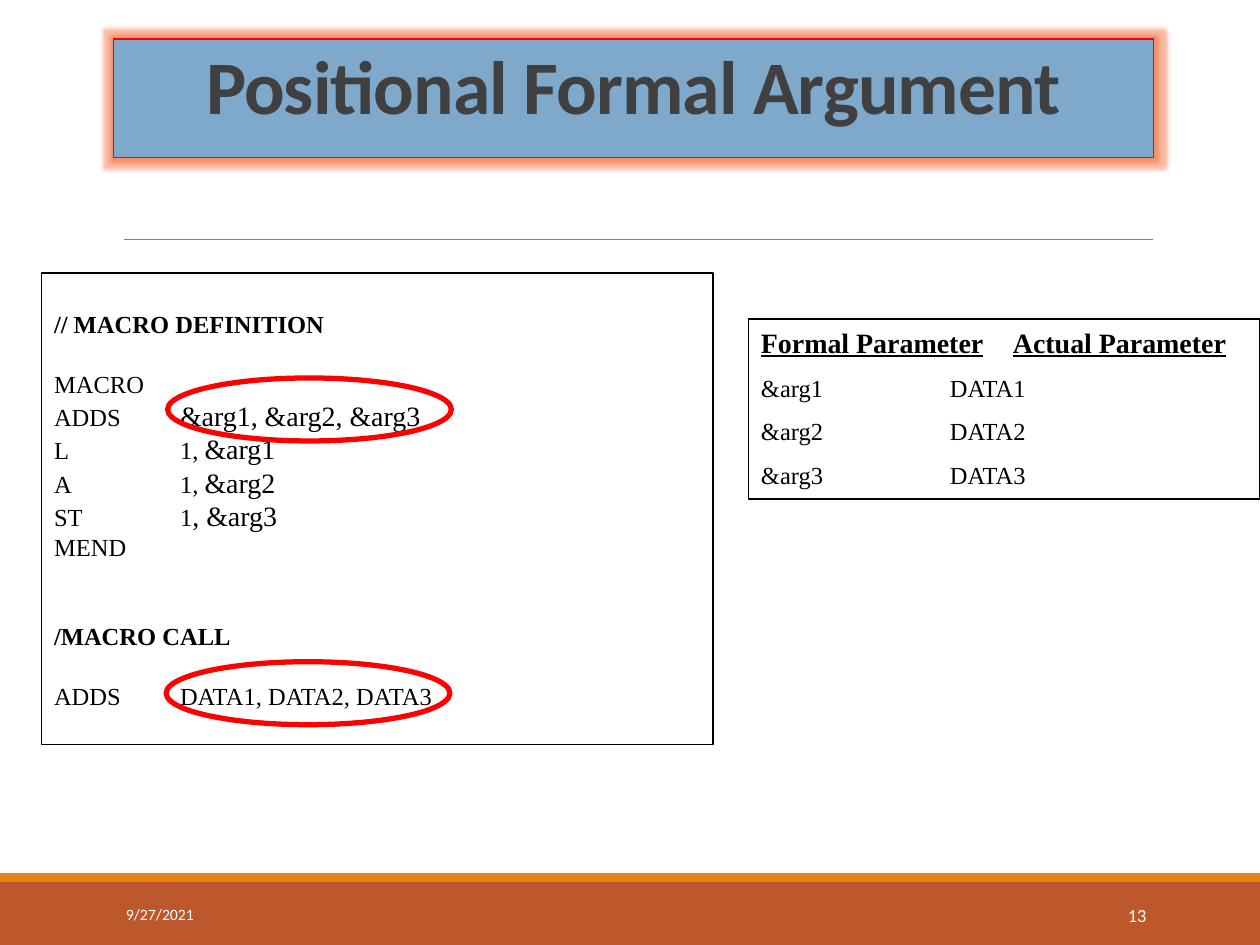
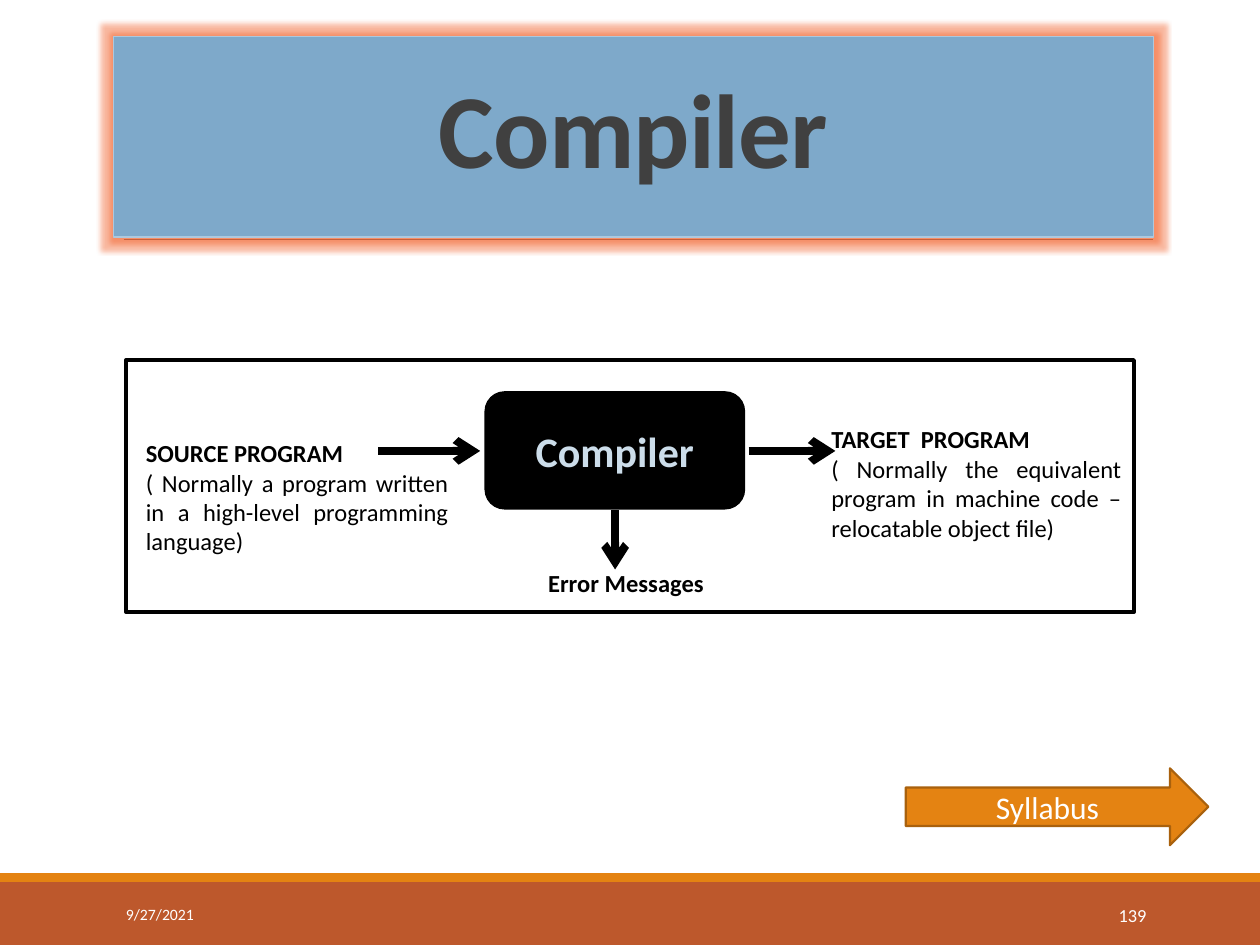
import pptx
import pptx.util
import pptx.dml.color
import pptx.enum.shapes
import pptx.enum.text
import pptx.oxml
import pptx.oxml.ns

Cm = pptx.util.Cm
Pt = pptx.util.Pt
RGBColor = pptx.dml.color.RGBColor
ShapeType = pptx.enum.shapes.MSO_SHAPE
Align = pptx.enum.text.PP_ALIGN
Anchor = pptx.enum.text.MSO_ANCHOR

WHITE = RGBColor(0xFF, 0xFF, 0xFF)
BLACK = RGBColor(0x00, 0x00, 0x00)
RED = RGBColor(0xFF, 0x00, 0x00)
GRAY = RGBColor(0x80, 0x80, 0x80)
DARK_GRAY = RGBColor(0x40, 0x40, 0x40)
RUST = RGBColor(0xBD, 0x58, 0x2C)
ORANGE = RGBColor(0xE4, 0x83, 0x12)
DARK_ORANGE = RGBColor(0xA9, 0x61, 0x0D)
BLUE = RGBColor(0x7E, 0xA9, 0xCA)
LIGHT_BLUE = RGBColor(0xAD, 0xC8, 0xDD)
PALE_BLUE = RGBColor(0xCC, 0xDD, 0xEA)
GLOW = RGBColor(0xF0, 0x50, 0x14)

SANS = "Calibri"
SERIF = "Times New Roman"
SLIDE_WIDTH = 25.4
SLIDE_HEIGHT = 19.05
DATE = "9/27/2021"


def drawing_element(tag, **attributes):
    element = pptx.oxml.parse_xml(f"<a:{tag} {pptx.oxml.ns.nsdecls('a')}/>")
    for name, value in attributes.items():
        element.set(name, str(value))
    return element


class Deck:
    def __init__(self):
        self.presentation = pptx.Presentation()
        self.presentation.slide_width = Cm(SLIDE_WIDTH)
        self.presentation.slide_height = Cm(SLIDE_HEIGHT)
        self.slide = None

    def start_slide(self, number):
        self.slide = self.presentation.slides.add_slide(self.presentation.slide_layouts[6])
        self.shape(0, 17.78, SLIDE_WIDTH, 1.27, fill=RUST)
        self.shape(0, 17.6, SLIDE_WIDTH, 0.18, fill=ORANGE)
        self.line(2.49, 4.83, 23.24, 4.83, GRAY, 0.5)
        date = self.text_box(2.29, 17.93, 5.16, 1.02, Anchor.MIDDLE)
        self.paragraph(date, [(DATE, {})], size=9, color=WHITE)
        page = self.text_box(20.62, 17.93, 2.74, 1.02, Anchor.MIDDLE)
        self.paragraph(page, [(str(number), {})], size=10.5, color=WHITE, align=Align.RIGHT)

    def shape(self, left, top, width, height, kind=ShapeType.RECTANGLE,
              fill=None, border=None, weight=0.75, anchor=Anchor.MIDDLE):
        shape = self.slide.shapes.add_shape(kind, Cm(left), Cm(top), Cm(width), Cm(height))
        shape.shadow.inherit = False
        if fill is None:
            shape.fill.background()
        else:
            shape.fill.solid()
            shape.fill.fore_color.rgb = fill
        if border is None:
            shape.line.fill.background()
        else:
            shape.line.color.rgb = border
            shape.line.width = Pt(weight)
        shape.text_frame.word_wrap = True
        shape.text_frame.vertical_anchor = anchor
        return shape

    def text_box(self, left, top, width, height, anchor=Anchor.TOP, wrap=True):
        shape = self.slide.shapes.add_textbox(Cm(left), Cm(top), Cm(width), Cm(height))
        shape.text_frame.word_wrap = wrap
        shape.text_frame.vertical_anchor = anchor
        return shape

    def paragraph(self, shape, runs, size=14, font=SANS, color=BLACK, bold=False,
                  align=Align.LEFT, before=0):
        frame = shape.text_frame
        paragraph = frame.paragraphs[0] if not frame.text else frame.add_paragraph()
        paragraph.alignment = align
        if before:
            paragraph.space_before = Pt(before)
        for text, changes in runs:
            run = paragraph.add_run()
            run.text = text
            run.font.name = font
            run.font.size = Pt(changes.get("size", size))
            run.font.bold = bold
            run.font.underline = changes.get("underline", False)
            run.font.color.rgb = color
        return paragraph

    def title(self, text, top, height, size, border, bottom_inset=0.13):
        shape = self.shape(2.29, top, 20.96, height, fill=BLUE, border=border)
        shape.text_frame.margin_bottom = Cm(bottom_inset)
        paragraph = self.paragraph(shape, [(text, {})], size=size, color=DARK_GRAY,
                                   bold=True, align=Align.CENTER)
        paragraph.line_spacing = 0.85
        paragraph.runs[0]._r.get_or_add_rPr().set("spc", "-50")
        glow = drawing_element("glow", rad=Pt(5))
        glow_color = drawing_element("srgbClr", val=GLOW)
        glow_color.append(drawing_element("alpha", val=40000))
        glow.append(glow_color)
        shape._element.spPr.find(pptx.oxml.ns.qn("a:effectLst")).append(glow)

    def line(self, start_x, start_y, end_x, end_y, color, weight, arrow=False):
        connector = self.slide.shapes.add_connector(
            pptx.enum.shapes.MSO_CONNECTOR.STRAIGHT,
            Cm(start_x), Cm(start_y), Cm(end_x), Cm(end_y))
        connector.line.color.rgb = color
        connector.line.width = Pt(weight)
        if arrow:
            connector.line._get_or_add_ln().append(drawing_element("tailEnd", type="arrow"))
        connector._element.spPr.append(drawing_element("effectLst"))

    def description(self, left, top, width, heading, detail):
        shape = self.text_box(left, top, width, 2.64)
        self.paragraph(shape, [(heading, {})], bold=True, align=Align.JUSTIFY)
        self.paragraph(shape, [(detail, {})], align=Align.JUSTIFY)


def build_argument_slide(deck):
    deck.start_slide(13)
    deck.title("Positional Formal Argument", 0.79, 2.39, 43.2, RED, bottom_inset=0.4)

    code = deck.shape(0.84, 5.51, 13.54, 9.5, border=BLACK, weight=1, anchor=Anchor.TOP)
    code.text_frame.margin_top = Cm(0.73)
    large = {"size": 16}
    code_lines = [
        ([("// MACRO DEFINITION", {})], True, 0),
        ([("MACRO", {})], False, 17),
        ([("ADDS\t", {}), ("&arg1, &arg2, &arg3", large)], False, 0),
        ([("L\t\t1, ", {}), ("&arg1", large)], False, 0),
        ([("A\t\t1, ", {}), ("&arg2", large)], False, 0),
        ([("ST \t\t1", {}), (", &arg3", large)], False, 0),
        ([("MEND", {})], False, 0),
        ([("/MACRO CALL", {})], True, 34),
        ([("ADDS\tDATA1, DATA2, DATA3", {})], False, 17),
    ]
    for runs, bold, before in code_lines:
        deck.paragraph(code, runs, font=SERIF, bold=bold, before=before)

    parameters = deck.shape(15.09, 6.43, 10.31, 3.63, border=BLACK, weight=1, anchor=Anchor.TOP)
    underlined = {"underline": True}
    deck.paragraph(parameters, [("Formal Parameter", underlined), ("\t", {}),
                                ("Actual Parameter", underlined)],
                   size=16, font=SERIF, bold=True)
    for index in range(1, 4):
        deck.paragraph(parameters, [(f"&arg{index}\t\t\tDATA{index}", {})], font=SERIF, before=8)

    for left, top in ((3.38, 7.62), (3.35, 13.34)):
        deck.shape(left, top, 5.72, 1.27, ShapeType.OVAL, border=RED, weight=3)


def build_compiler_slide(deck):
    deck.start_slide(139)
    deck.title("Compiler", 0.74, 4.04, 60, LIGHT_BLUE)

    compiler = deck.shape(9.78, 7.9, 5.23, 2.36, ShapeType.ROUNDED_RECTANGLE,
                          fill=BLACK, border=BLACK)
    deck.paragraph(compiler, [("Compiler", {})], size=24, color=PALE_BLUE, bold=True,
                   align=Align.CENTER)
    for ends in ((7.62, 9.09, 9.68, 9.09), (15.09, 9.09, 16.84, 9.09), (12.4, 10.29, 12.4, 11.48)):
        deck.line(*ends, BLACK, 4.5, arrow=True)

    deck.description(2.69, 8.71, 6.6, "SOURCE PROGRAM",
                     "( Normally a program written in a high-level programming language)")
    deck.description(16.51, 8.43, 6.35, "TARGET  PROGRAM",
                     "( Normally the equivalent program in machine code – relocatable object file)")
    errors = deck.text_box(10.8, 11.33, 3.66, 0.86, wrap=False)
    deck.paragraph(errors, [("Error Messages", {})], bold=True)
    deck.shape(2.54, 7.26, 20.32, 5.08, border=BLACK, weight=2.25)

    syllabus = deck.shape(18.26, 15.49, 6.1, 1.55, ShapeType.RIGHT_ARROW,
                          fill=ORANGE, border=DARK_ORANGE, weight=1.25)
    deck.paragraph(syllabus, [("Syllabus", {})], size=18, color=WHITE, align=Align.CENTER)


def main():
    deck = Deck()
    build_argument_slide(deck)
    build_compiler_slide(deck)
    deck.presentation.save("out.pptx")


if __name__ == "__main__":
    main()
